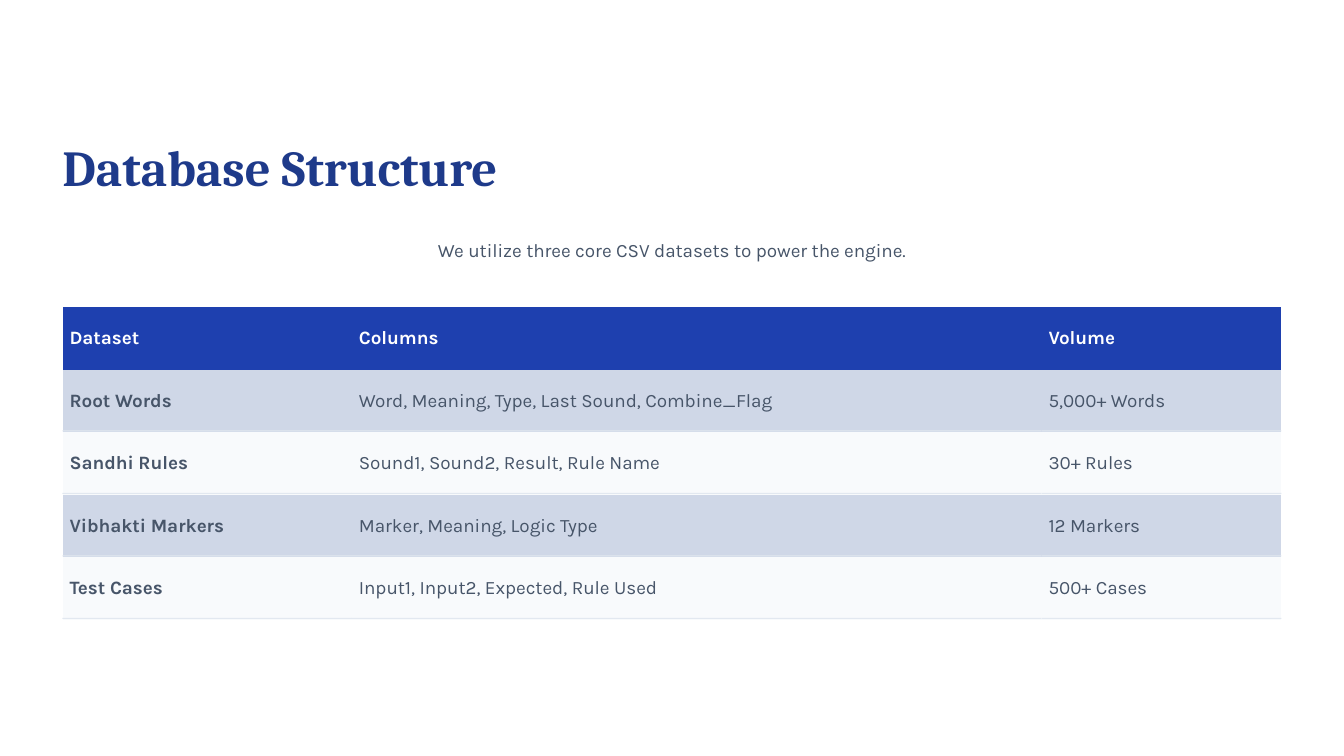
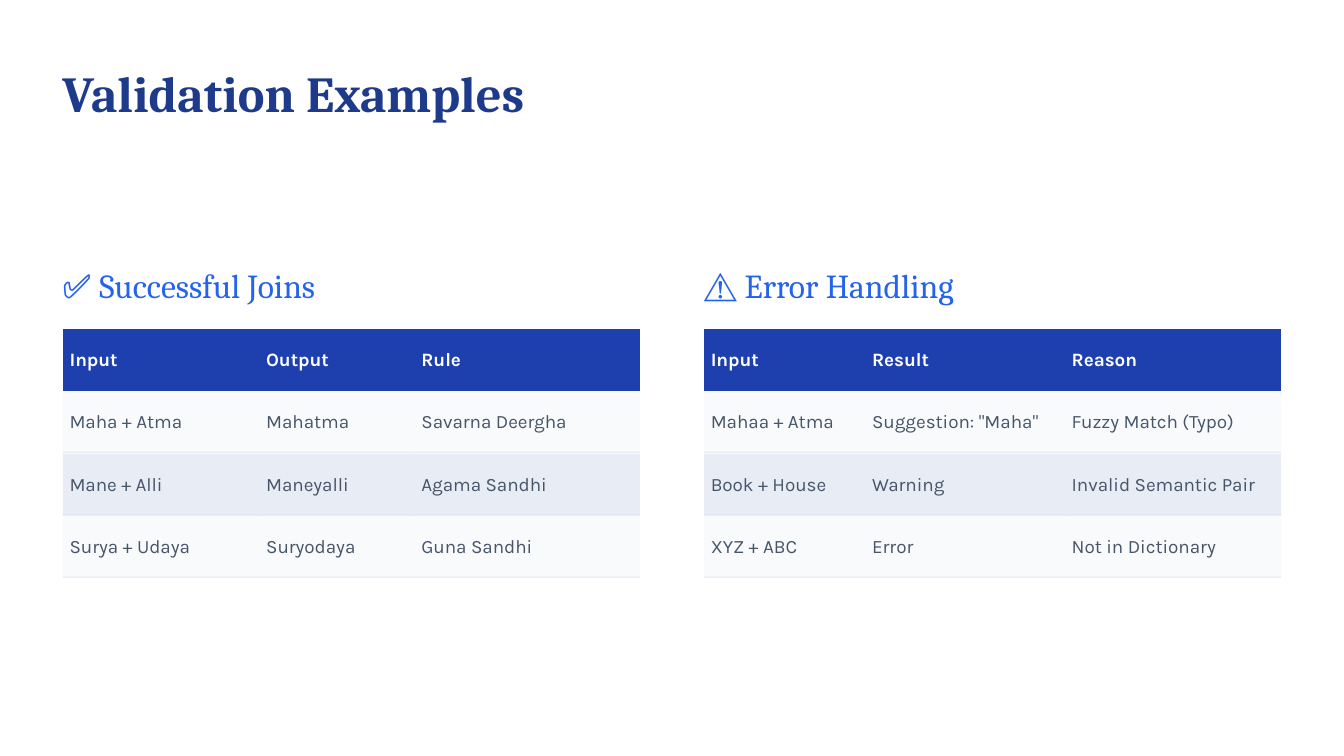
from itertools import accumulate

from pptx import Presentation
from pptx import util as u
from pptx.dml.color import RGBColor
from pptx.enum import shapes, text

NAVY = RGBColor(0x1E, 0x3A, 0x8A)
HEADER = RGBColor(0x1E, 0x40, 0xAF)
BLUE = RGBColor(0x25, 0x63, 0xEB)
SLATE = RGBColor(0x47, 0x55, 0x69)
WHITE = RGBColor(0xFF, 0xFF, 0xFF)
PALE = RGBColor(0xF8, 0xFA, 0xFC)
BAND_DARK = RGBColor(0xCF, 0xD7, 0xE7)
BAND_LIGHT = RGBColor(0xE8, 0xEC, 0xF4)
RULE = RGBColor(0xE2, 0xE8, 0xF0)
SERIF, SANS = "Cambria", "Karla"

# Lengths in inches
SLIDE_W, SLIDE_H = 13.33, 7.5
MARGIN, GAP = 0.62, 0.63
CONTENT_W = SLIDE_W - 2 * MARGIN
HALF_W = (CONTENT_W - GAP) / 2
HEADING_STRETCH = 1.05
ROW_H = 0.62
RULE_H, RULE_RISE = 0.01, 0.02
PLAIN_TABLE_STYLE = "{2D5ABB26-0587-4C30-8999-92F81FD0307C}"

DATASETS = [
    ("Dataset", "Columns", "Volume"),
    ("Root Words", "Word, Meaning, Type, Last Sound, Combine_Flag", "5,000+ Words"),
    ("Sandhi Rules", "Sound1, Sound2, Result, Rule Name", "30+ Rules"),
    ("Vibhakti Markers", "Marker, Meaning, Logic Type", "12 Markers"),
    ("Test Cases", "Input1, Input2, Expected, Rule Used", "500+ Cases"),
]
DATASET_COLS = (2.87, 6.84, 2.38)

# Heading, column widths, rows
EXAMPLES = [
    ("✅ Successful Joins", (1.95, 1.54, 2.24), [
        ("Input", "Output", "Rule"),
        ("Maha + Atma", "Mahatma", "Savarna Deergha"),
        ("Mane + Alli", "Maneyalli", "Agama Sandhi"),
        ("Surya + Udaya", "Suryodaya", "Guna Sandhi"),
    ]),
    ("⚠️ Error Handling", (1.6, 1.98, 2.15), [
        ("Input", "Result", "Reason"),
        ("Mahaa + Atma", 'Suggestion: "Maha"', "Fuzzy Match (Typo)"),
        ("Book + House", "Warning", "Invalid Semantic Pair"),
        ("XYZ + ABC", "Error", "Not in Dictionary"),
    ]),
]


def style(paragraph, face, size, color, bold=False):
    font = paragraph.font
    font.name, font.size, font.bold = face, u.Pt(size), bold
    font.color.rgb = color


def add_text(slide, words, left, top, width, height, face, size, color, bold=False):
    box = slide.shapes.add_textbox(*map(u.Inches, (left, top, width, height)))
    frame = box.text_frame
    frame.margin_left = frame.margin_right = frame.margin_top = frame.margin_bottom = 0
    frame.word_wrap = True
    frame.auto_size = text.MSO_AUTO_SIZE.SHAPE_TO_FIT_TEXT
    paragraph = frame.paragraphs[0]
    paragraph.text = words
    style(paragraph, face, size, color, bold)
    return paragraph


def add_title(slide, words, top):
    add_text(slide, words, MARGIN, top, CONTENT_W * HEADING_STRETCH, 0.62,
             SERIF, 36, NAVY, True)


def add_ruled_table(slide, rows, widths, left, top, bands, bold_first=False):
    """Table whose body rows alternate the two bands, with a hairline under each."""
    table = slide.shapes.add_table(
        len(rows), len(widths),
        *map(u.Inches, (left, top, sum(widths), ROW_H * len(rows)))).table
    table._tbl.tblPr.find("{*}tableStyleId").text = PLAIN_TABLE_STYLE
    for column, width in zip(table.columns, widths):
        column.width = u.Inches(width)
    for r, row in enumerate(rows):
        table.rows[r].height = u.Inches(ROW_H)
        for c, words in enumerate(row):
            cell = table.cell(r, c)
            cell.fill.solid()
            cell.fill.fore_color.rgb = bands[(r - 1) % 2] if r else HEADER
            cell.vertical_anchor = text.MSO_ANCHOR.MIDDLE
            cell.margin_left = cell.margin_right = u.Inches(0.07)
            cell.margin_top = cell.margin_bottom = u.Inches(0.03)
            cell.text = words
            style(cell.text_frame.paragraphs[0], SANS, 13.5, SLATE if r else WHITE,
                  r == 0 or (bold_first and c == 0))
    lefts = list(accumulate(widths[:-1], initial=left))
    for r in range(1, len(rows)):
        rule_top = top + ROW_H * (r + 1) - RULE_RISE
        for x, width in zip(lefts, widths):
            rule = slide.shapes.add_shape(
                shapes.MSO_SHAPE.RECTANGLE,
                *map(u.Inches, (x, rule_top, width, RULE_H)))
            rule.shadow.inherit = False
            rule.fill.solid()
            rule.fill.fore_color.rgb = RULE
            rule.line.fill.background()


def build_database(slide):
    add_title(slide, "Database Structure", 1.35)
    intro = add_text(slide, "We utilize three core CSV datasets to power the engine.",
                     MARGIN, 2.23, CONTENT_W, 0.3, SANS, 13.5, SLATE)
    intro.alignment = text.PP_ALIGN.CENTER
    intro.line_spacing = 1.6
    add_ruled_table(slide, DATASETS, DATASET_COLS, MARGIN, 3.05,
                    (BAND_DARK, PALE), bold_first=True)


def build_validation(slide):
    add_title(slide, "Validation Examples", 0.62)
    for i, (heading, widths, rows) in enumerate(EXAMPLES):
        left = MARGIN + i * (HALF_W + GAP)
        add_text(slide, heading, left, 2.63, HALF_W * HEADING_STRETCH, 0.42,
                 SERIF, 24, BLUE)
        add_ruled_table(slide, rows, widths, left, 3.26, (PALE, BAND_LIGHT))


def main():
    deck = Presentation()
    deck.slide_width, deck.slide_height = u.Inches(SLIDE_W), u.Inches(SLIDE_H)
    for build in (build_database, build_validation):
        build(deck.slides.add_slide(deck.slide_layouts[6]))
    deck.save("out.pptx")


if __name__ == "__main__":
    main()
